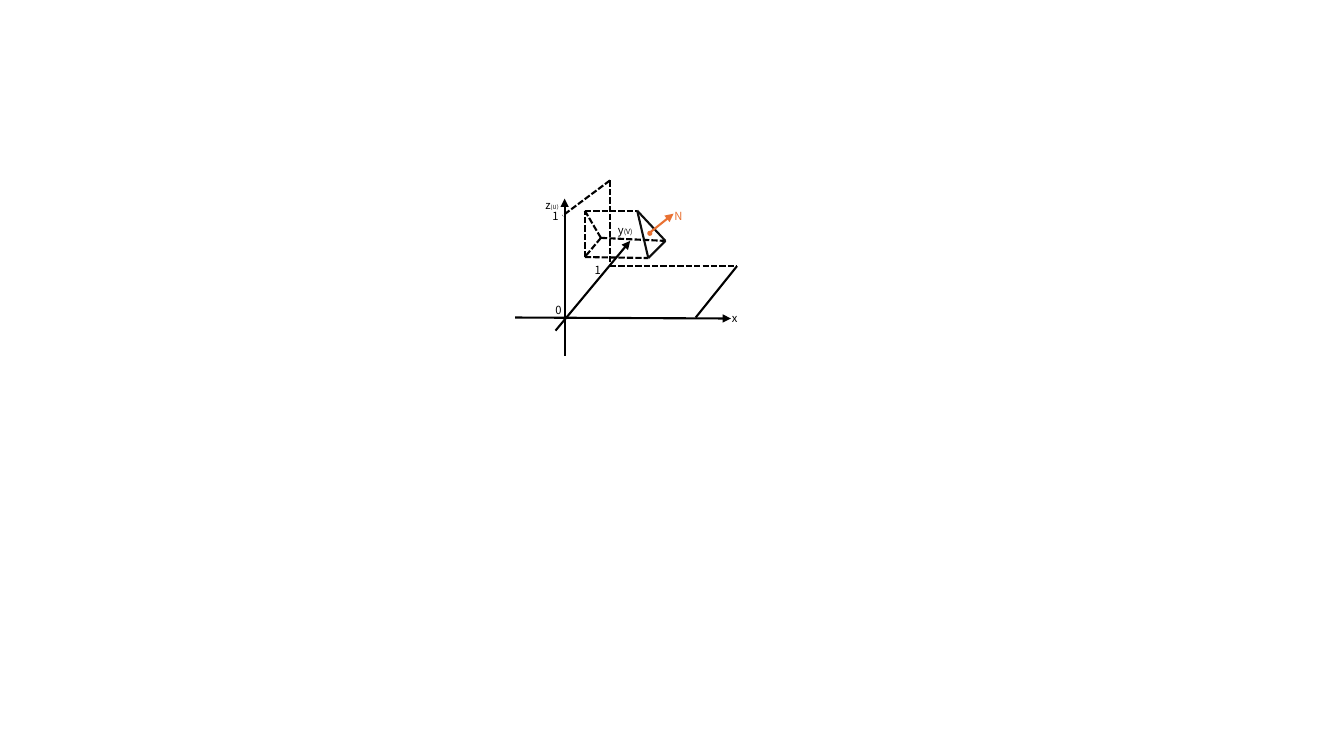
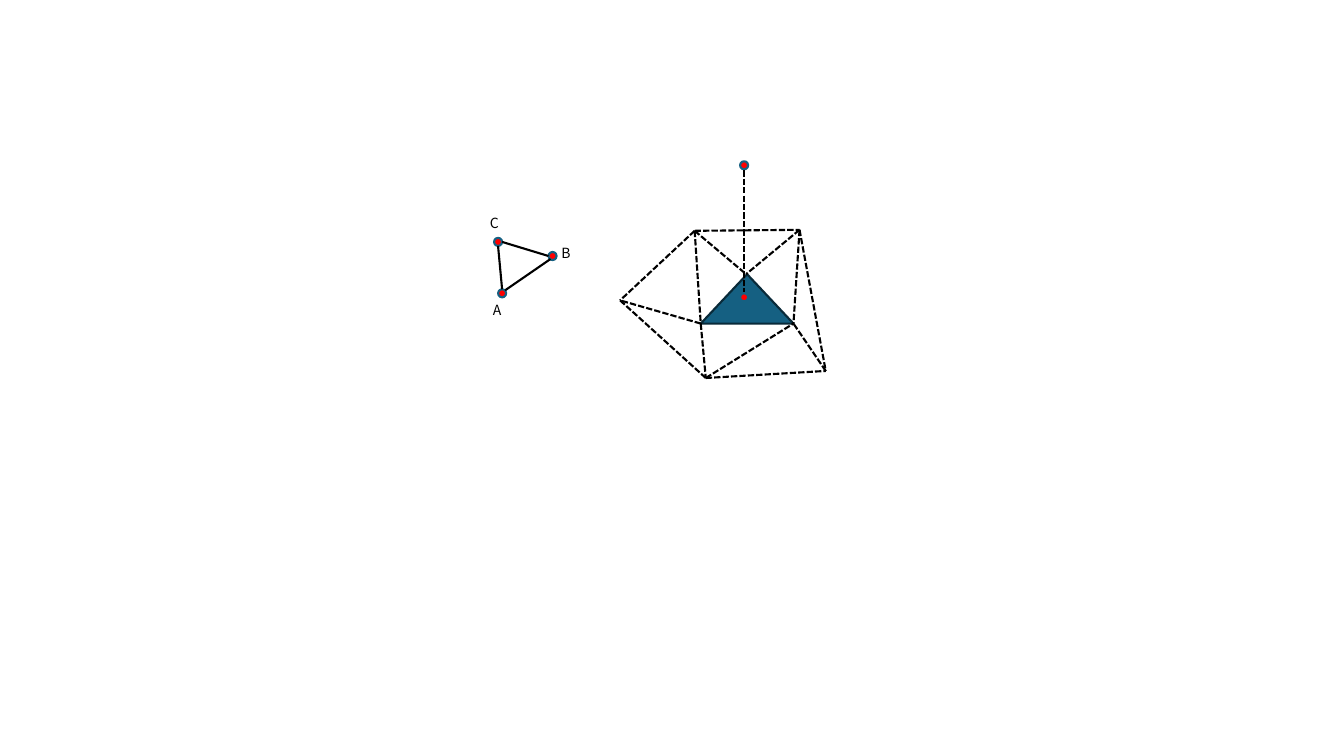
"""Draw a prism in a coordinate system and a triangle mesh on two slides."""
from lxml.etree import SubElement
from pptx import Presentation
from pptx.dml.color import RGBColor
from pptx.enum.dml import MSO_LINE
from pptx.enum.shapes import MSO_CONNECTOR, MSO_SHAPE
from pptx.enum.text import MSO_AUTO_SIZE as AutoSize
from pptx.oxml.ns import qn
from pptx.util import Inches, Pt

WIDTH, HEIGHT = Inches(13.33), Inches(7.5)
COLUMNS, ROWS = 1333, 750
FONT = "Noto Sans CJK SC"
LINE_WIDTH = Pt(1.5)
DASHED = MSO_LINE.SQUARE_DOT
DOT = 8
COLORS = {
    "ink": "000000",
    "edge": "0D0D0D",
    "normal": "E97132",
    "point": "FF0000",
    "mesh": "156082",
    "mesh_edge": "092A39",
}

PRISM = {
    "back_top": (580, 209),
    "back_bottom": (580, 255),
    "back_middle": (596, 236),
    "front_top": (632, 209),
    "front_bottom": (643, 256),
    "front_middle": (660, 239),
}
PRISM_HIDDEN = [
    ("back_bottom", "front_bottom"),
    ("back_top", "front_top"),
    ("back_middle", "front_middle"),
    ("back_bottom", "back_top"),
    ("back_middle", "back_top"),
    ("back_middle", "back_bottom"),
]
PRISM_FRONT = [
    ("front_top", "front_middle"),
    ("front_bottom", "front_top"),
    ("front_middle", "front_bottom"),
]
PLANES = {
    "wall_top": (605, 179),
    "wall_left": (558, 214),
    "corner": (605, 264),
    "floor_back": (731, 264),
    "floor_front": (690, 315),
}
PLANES_HIDDEN = [
    ("corner", "floor_back"),
    ("wall_top", "corner"),
    ("wall_top", "wall_left"),
]
AXES = [
    ((511, 315), (725, 316)),
    ((551, 328), (625, 239)),
    ((560, 353), (560, 197)),
]
AXIS_LABELS = [
    ((716, 304, 25, 24), "x", "", 0),
    ((603, 217, 48, 37), "y", "(V)", 5),
    ((531, 192, 39, 37), "z", "(U）", 4),
    ((541, 296, 26, 24), "0", "", 0),
    ((580, 256, 26, 24), "1", "", 0),
    ((538, 203, 26, 24), "1", "", 0),
]

CORNERS = {"A": (498, 291), "B": (548, 254), "C": (494, 240)}
CORNER_SIDES = [
    ((494, 244), (498, 287)),
    ((546, 257), (501, 288)),
    ((498, 240), (544, 254)),
]
CORNER_LABELS = [
    ((479, 294, 29, 27), "A"),
    ((547, 238, 28, 27), "B"),
    ((476, 208, 29, 27), "C"),
]
MESH = {
    "left": (615, 298),
    "top_left": (689, 229),
    "top_right": (793, 228),
    "apex": (740, 272),
    "base_left": (695, 321),
    "base_right": (787, 321),
    "bottom": (700, 375),
    "right": (819, 368),
}
MESH_EDGES = [
    ("top_left", "left"),
    ("base_left", "left"),
    ("left", "bottom"),
    ("top_left", "top_right"),
    ("top_left", "base_left"),
    ("top_left", "apex"),
    ("top_right", "base_right"),
    ("top_right", "apex"),
    ("bottom", "base_right"),
    ("base_left", "bottom"),
    ("right", "base_right"),
    ("bottom", "right"),
    ("top_right", "right"),
]
VIEWPOINT, TARGET = (738, 164), (738, 295)


def across(column):
    return round(WIDTH * column / COLUMNS)


def down(row):
    return round(HEIGHT * row / ROWS)


def place(left, top, width, height):
    return across(left), down(top), across(width), down(height)


def apply_format(target, values):
    for name, value in values.items():
        setattr(target, name, value)


def paint_line(line, color, **values):
    line.color.rgb = RGBColor.from_string(COLORS[color])
    apply_format(line, {"width": LINE_WIDTH, **values})


def add_line(slide, start, end, color="ink", dash=None, arrow=False):
    connector = slide.shapes.add_connector(
        MSO_CONNECTOR.STRAIGHT,
        across(start[0]), down(start[1]), across(end[0]), down(end[1]),
    )
    paint_line(connector.line, color, dash_style=dash)
    if arrow:
        outline = connector.line._get_or_add_ln()
        SubElement(outline, qn("a:tailEnd"), type="triangle")
    SubElement(connector._element.spPr, qn("a:effectLst"))


def add_edges(slide, points, edges, **style):
    for start, end in edges:
        add_line(slide, points[start], points[end], **style)


def add_figure(slide, kind, box, fill, outline=None):
    shape = slide.shapes.add_shape(kind, *place(*box))
    shape.shadow.inherit = False
    shape.fill.solid()
    shape.fill.fore_color.rgb = RGBColor.from_string(COLORS[fill])
    if outline:
        paint_line(shape.line, outline)
    else:
        shape.line.fill.background()


def add_dot(slide, center, size=DOT, fill="point", outline="mesh"):
    column, row = center
    box = (column - size / 2, row - size / 2, size, size)
    add_figure(slide, MSO_SHAPE.OVAL, box, fill, outline)


def add_run(paragraph, text, size, color):
    run = paragraph.add_run()
    run.text = text
    apply_format(run.font, {"name": FONT, "size": Pt(size)})
    run.font.color.rgb = RGBColor.from_string(COLORS[color])
    SubElement(run.font._element, qn("a:ea"), typeface=FONT)


def add_label(slide, box, text, size=8, suffix="", suffix_size=0,
              color="ink", wrap=False):
    frame = slide.shapes.add_textbox(*place(*box)).text_frame
    apply_format(frame, {"word_wrap": wrap, "auto_size": AutoSize.SHAPE_TO_FIT_TEXT})
    paragraph = frame.paragraphs[0]
    add_run(paragraph, text, size, color)
    if suffix:
        add_run(paragraph, suffix, suffix_size, color)


def build_prism(slide):
    add_edges(slide, PLANES, PLANES_HIDDEN, dash=DASHED)
    add_edges(slide, PLANES, [("floor_front", "floor_back")])
    add_edges(slide, PRISM, PRISM_HIDDEN, dash=DASHED)
    add_edges(slide, PRISM, PRISM_FRONT, color="edge")
    for start, end in AXES:
        add_line(slide, start, end, arrow=True)
    for box, text, suffix, suffix_size in AXIS_LABELS:
        add_label(slide, box, text, suffix=suffix, suffix_size=suffix_size,
                  wrap=bool(suffix))
    add_line(slide, (643, 232), (668, 212), color="normal", arrow=True)
    add_dot(slide, (644.5, 231.5), size=5, fill="normal", outline=None)
    add_label(slide, (659, 203, 48, 37), "N", color="normal", wrap=True)


def build_mesh(slide):
    for center in CORNERS.values():
        add_dot(slide, center)
    for start, end in CORNER_SIDES:
        add_line(slide, start, end)
    for box, text in CORNER_LABELS:
        add_label(slide, box, text, size=10)
    left, base = MESH["base_left"]
    top = MESH["apex"][1]
    face = (left, top, MESH["base_right"][0] - left, base - top)
    add_figure(slide, MSO_SHAPE.ISOSCELES_TRIANGLE, face, "mesh", "mesh_edge")
    add_dot(slide, VIEWPOINT)
    add_line(slide, (738, 169), (738, 290), dash=DASHED)
    add_dot(slide, TARGET)
    add_edges(slide, MESH, MESH_EDGES, dash=DASHED)


def main():
    presentation = Presentation()
    apply_format(presentation, {"slide_width": WIDTH, "slide_height": HEIGHT})
    blank = presentation.slide_layouts[6]
    for build in (build_prism, build_mesh):
        build(presentation.slides.add_slide(blank))
    presentation.save("out.pptx")


if __name__ == "__main__":
    main()
